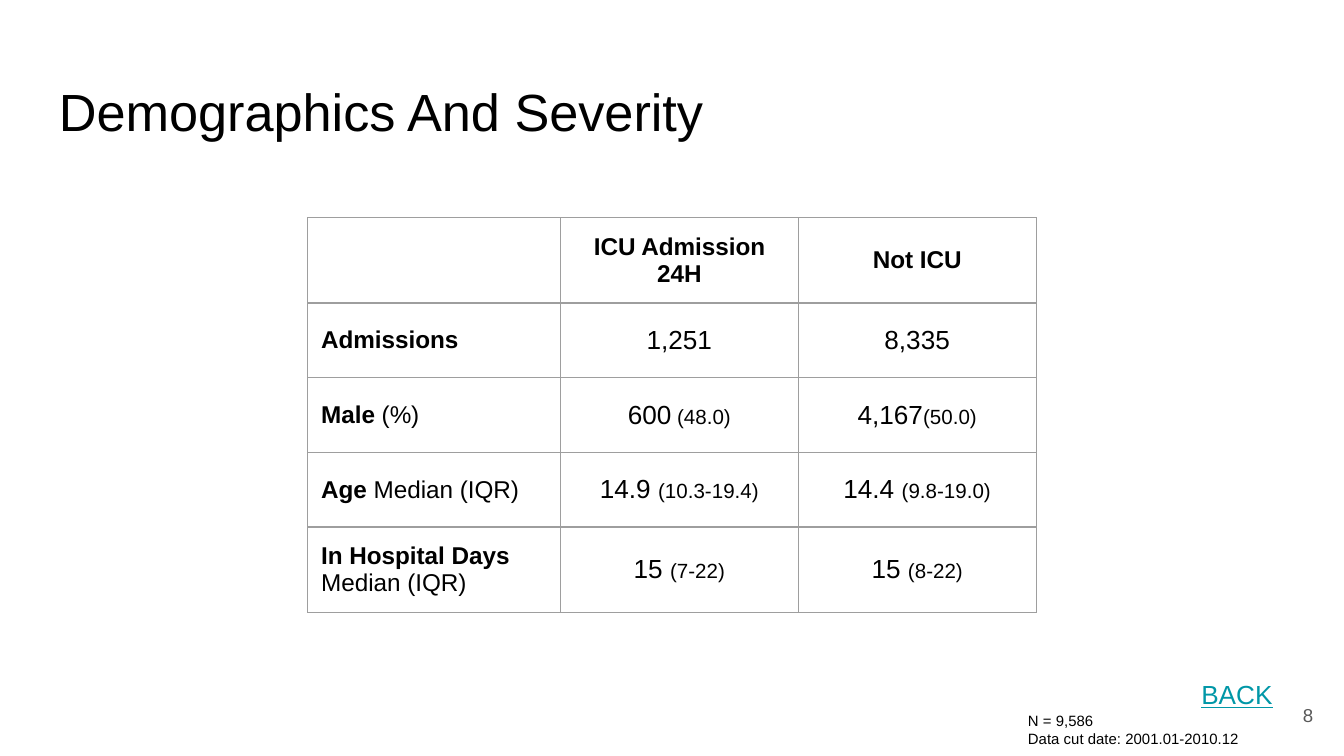
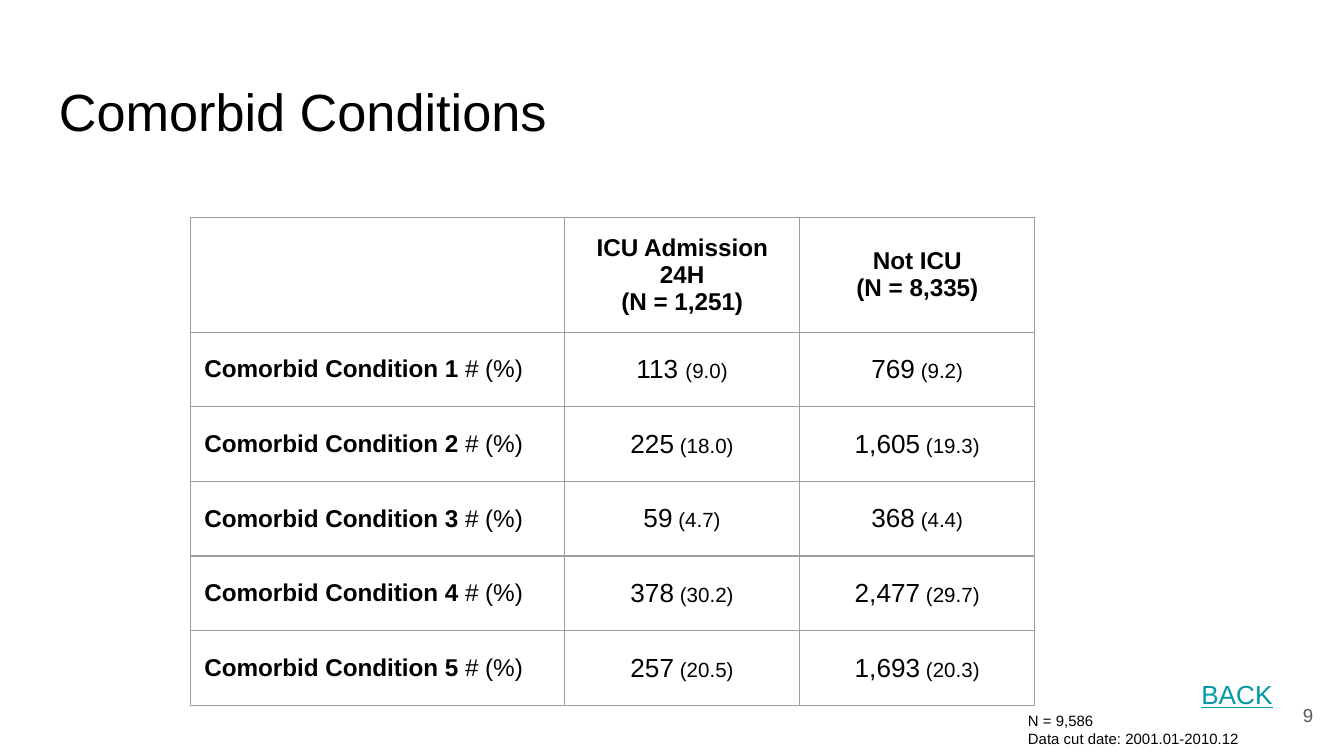
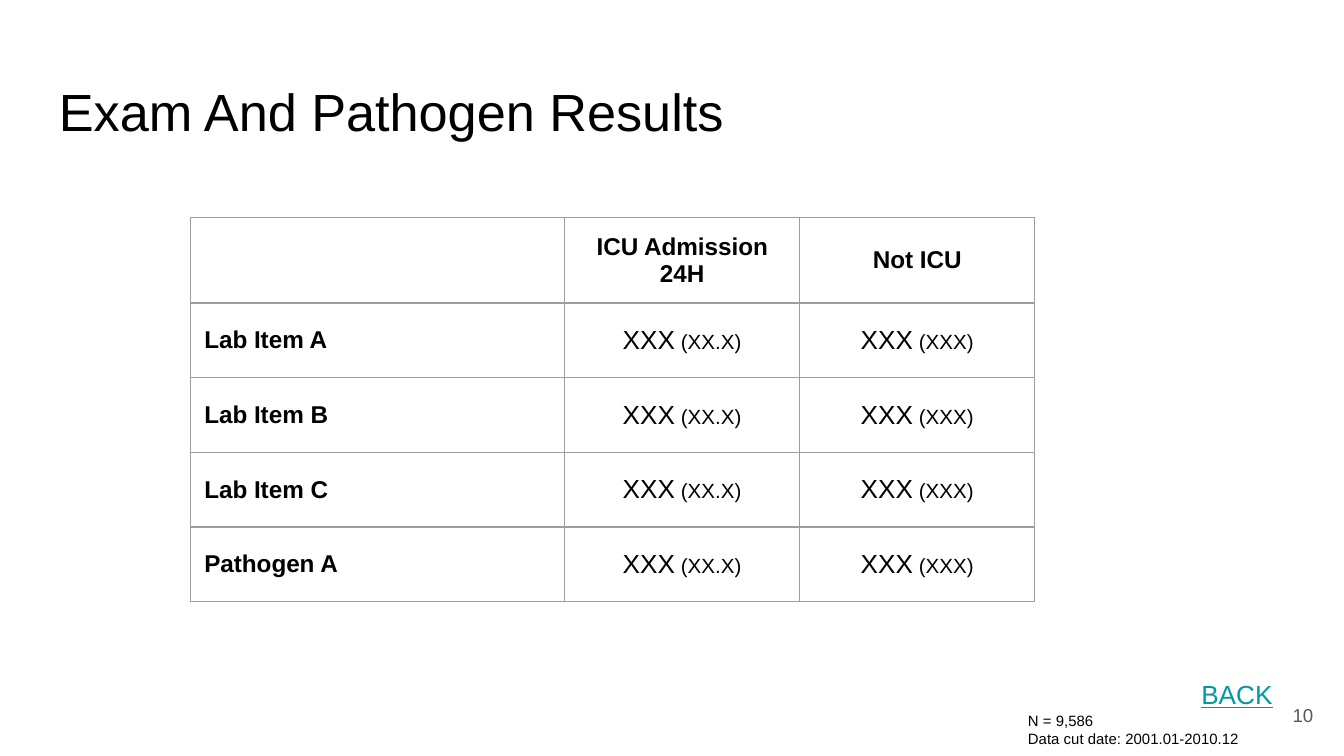
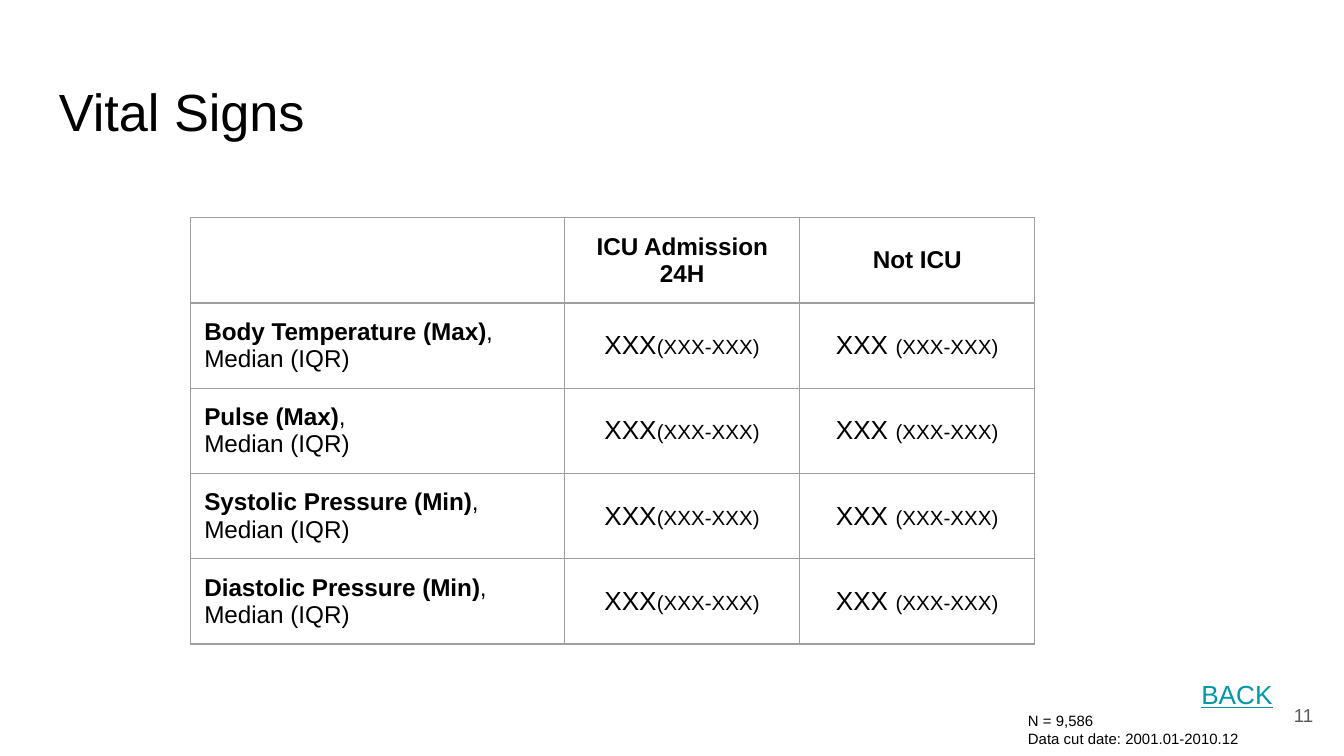
import dataclasses
import typing

import lxml.etree
import pptx
import pptx.dml.color
import pptx.enum.text
import pptx.oxml.ns
import pptx.slide
import pptx.table
import pptx.text.text
import pptx.util

Pt = pptx.util.Pt
Align = pptx.enum.text.PP_ALIGN
Anchor = pptx.enum.text.MSO_ANCHOR

BLACK = pptx.dml.color.RGBColor(0x00, 0x00, 0x00)
GRAY = pptx.dml.color.RGBColor(0x59, 0x59, 0x59)
TEAL = pptx.dml.color.RGBColor(0x00, 0x97, 0xA7)
BORDER = pptx.dml.color.RGBColor(0x9E, 0x9E, 0x9E)
BORDER_WIDTH = Pt(0.75)
FONT = "Arial"
SLIDE_WIDTH = pptx.util.Inches(10)
SLIDE_HEIGHT = pptx.util.Inches(5.625)
INSET = pptx.util.Inches(0.1)
FIRST_PAGE = 8

# Table places, in percent of the slide's width or height
TABLE_TOP = 28.8
ROW_HEIGHT = 9.88

LABEL = {"size": Pt(13), "bold": True}
LABEL_DETAIL = {"size": Pt(13), "bold": False}
VALUE = {"size": Pt(14), "bold": False}
VALUE_DETAIL = {"size": Pt(11), "bold": False}

NOTE = "N = 9,586\nData cut date: 2001.01-2010.12"


@dataclasses.dataclass(frozen=True)
class TextBox:
    """A place in percent of the slide, with the style of its text."""
    left: float
    top: float
    width: float
    height: float
    size: float
    color: pptx.dml.color.RGBColor = BLACK
    underline: bool = False
    align: Align = Align.LEFT
    anchor: Anchor = Anchor.TOP


@dataclasses.dataclass(frozen=True)
class TableSlide:
    """Cells hold a main part and, after a bar, a detail part."""
    title: str
    left: float
    columns: tuple[float, ...]
    rows: list[tuple[str, ...]]


TITLE_BOX = TextBox(3.4, 8.7, 93.2, 11.2, 28)
PAGE_BOX = TextBox(92.7, 90.7, 6, 7.65, 10, GRAY, align=Align.RIGHT, anchor=Anchor.MIDDLE)
BACK_BOX = TextBox(88.4, 88, 7.6, 6.93, 14, TEAL, underline=True)
NOTE_BOX = TextBox(75.5, 92.4, 23.1, 8.5, 8)

WIDE_LEFT = 14.2
WIDE_COLUMNS = (27.8, 17.5, 17.5)
HEADER = ("", "ICU Admission 24H", "Not ICU")

COMORBID_COUNTS = [
    ("113 |(9.0)", "769| (9.2)"),
    ("225| (18.0)", "1,605| (19.3)"),
    ("59| (4.7)", "368| (4.4)"),
    ("378| (30.2)", "2,477| (29.7)"),
    ("257| (20.5)", "1,693| (20.3)"),
]
LAB_ITEMS = ("Lab Item A", "Lab Item B", "Lab Item C", "Pathogen A")
VITAL_SIGNS = (
    "Body Temperature (Max)|,\n|Median (IQR)",
    "Pulse (Max)|,\n|Median (IQR)",
    "Systolic Pressure (Min)|, Median (IQR)",
    "Diastolic Pressure (Min)|,\n|Median (IQR)",
)

SLIDES = [
    TableSlide("Demographics And Severity", 22.9, (18.8, 17.7, 17.7), [
        HEADER,
        ("Admissions", "1,251", "8,335"),
        ("Male |(%)", "600| (48.0)", "4,167|(50.0)"),
        ("Age| Median (IQR)", "14.9 |(10.3-19.4)", "14.4 |(9.8-19.0)"),
        ("In Hospital Days\n|Median (IQR)", "15 |(7-22)", "15 |(8-22)"),
    ]),
    TableSlide("Comorbid Conditions", WIDE_LEFT, WIDE_COLUMNS, [
        ("", "ICU Admission 24H\n(N = 1,251)", "Not ICU\n(N = 8,335)"),
        *((f"Comorbid Condition {number} |# (%)", *counts)
          for number, counts in enumerate(COMORBID_COUNTS, start=1)),
    ]),
    TableSlide("Exam And Pathogen Results", WIDE_LEFT, WIDE_COLUMNS, [
        HEADER, *((item, "XXX| (XX.X)", "XXX| (XXX)") for item in LAB_ITEMS),
    ]),
    TableSlide("Vital Signs", WIDE_LEFT, WIDE_COLUMNS, [
        HEADER, *((sign, "XXX|(XXX-XXX)", "XXX |(XXX-XXX)") for sign in VITAL_SIGNS),
    ]),
]


def across(percent: float) -> int:
    return round(SLIDE_WIDTH * percent / 100)


def down(percent: float) -> int:
    return round(SLIDE_HEIGHT * percent / 100)


def apply(target: typing.Any, values: dict[str, typing.Any]) -> None:
    for name, value in values.items():
        setattr(target, name, value)


def write_text(frame: pptx.text.text.TextFrame, text: str, align: Align,
               *styles: dict[str, typing.Any], color: pptx.dml.color.RGBColor = BLACK) -> None:
    """Write one paragraph per line; the parts between bars take the styles in turn."""
    for index, line in enumerate(text.split("\n")):
        paragraph = frame.add_paragraph() if index else frame.paragraphs[0]
        paragraph.alignment = align
        for part, style in zip(line.split("|"), styles):
            if part:
                run = paragraph.add_run()
                run.text = part
                apply(run.font, {"name": FONT, **style})
                run.font.color.rgb = color


def add_text(slide: pptx.slide.Slide, box: TextBox, text: str) -> None:
    shape = slide.shapes.add_textbox(across(box.left), down(box.top),
                                     across(box.width), down(box.height))
    frame = shape.text_frame
    apply(frame, {"word_wrap": True, "vertical_anchor": box.anchor,
                  "margin_left": INSET, "margin_right": INSET,
                  "margin_top": INSET, "margin_bottom": INSET})
    write_text(frame, text, box.align,
               {"size": Pt(box.size), "underline": box.underline}, color=box.color)


def add_borders(cell: pptx.table._Cell) -> None:
    properties = cell._tc.get_or_add_tcPr()
    qualified = pptx.oxml.ns.qn
    for side in ("a:lnL", "a:lnR", "a:lnT", "a:lnB"):
        line = lxml.etree.SubElement(properties, qualified(side), w=str(int(BORDER_WIDTH)))
        fill = lxml.etree.SubElement(line, qualified("a:solidFill"))
        lxml.etree.SubElement(fill, qualified("a:srgbClr"), val=str(BORDER))


def add_data_table(slide: pptx.slide.Slide, content: TableSlide) -> None:
    row_count, column_count = len(content.rows), len(content.columns)
    table = slide.shapes.add_table(
        row_count, column_count, across(content.left), down(TABLE_TOP),
        across(sum(content.columns)), down(ROW_HEIGHT * row_count)).table
    apply(table, {"first_row": False, "horz_banding": False})
    for column, width in zip(table.columns, content.columns):
        column.width = across(width)
    for row_index, texts in enumerate(content.rows):
        table.rows[row_index].height = down(ROW_HEIGHT)
        for column_index, text in enumerate(texts):
            cell = table.cell(row_index, column_index)
            apply(cell, {"vertical_anchor": Anchor.MIDDLE,
                         "margin_left": INSET, "margin_right": INSET,
                         "margin_top": INSET, "margin_bottom": INSET})
            add_borders(cell)
            cell.fill.background()
            is_value = row_index > 0 and column_index > 0
            styles = (VALUE, VALUE_DETAIL) if is_value else (LABEL, LABEL_DETAIL)
            align = Align.CENTER if column_index else Align.LEFT
            write_text(cell.text_frame, text, align, *styles)


def main() -> None:
    presentation = pptx.Presentation()
    apply(presentation, {"slide_width": SLIDE_WIDTH, "slide_height": SLIDE_HEIGHT})
    blank_layout = presentation.slide_layouts[6]
    for page, content in enumerate(SLIDES, start=FIRST_PAGE):
        slide = presentation.slides.add_slide(blank_layout)
        add_text(slide, TITLE_BOX, content.title)
        add_text(slide, PAGE_BOX, str(page))
        add_text(slide, BACK_BOX, "BACK")
        add_data_table(slide, content)
        add_text(slide, NOTE_BOX, NOTE)
    presentation.save("out.pptx")


if __name__ == "__main__":
    main()
